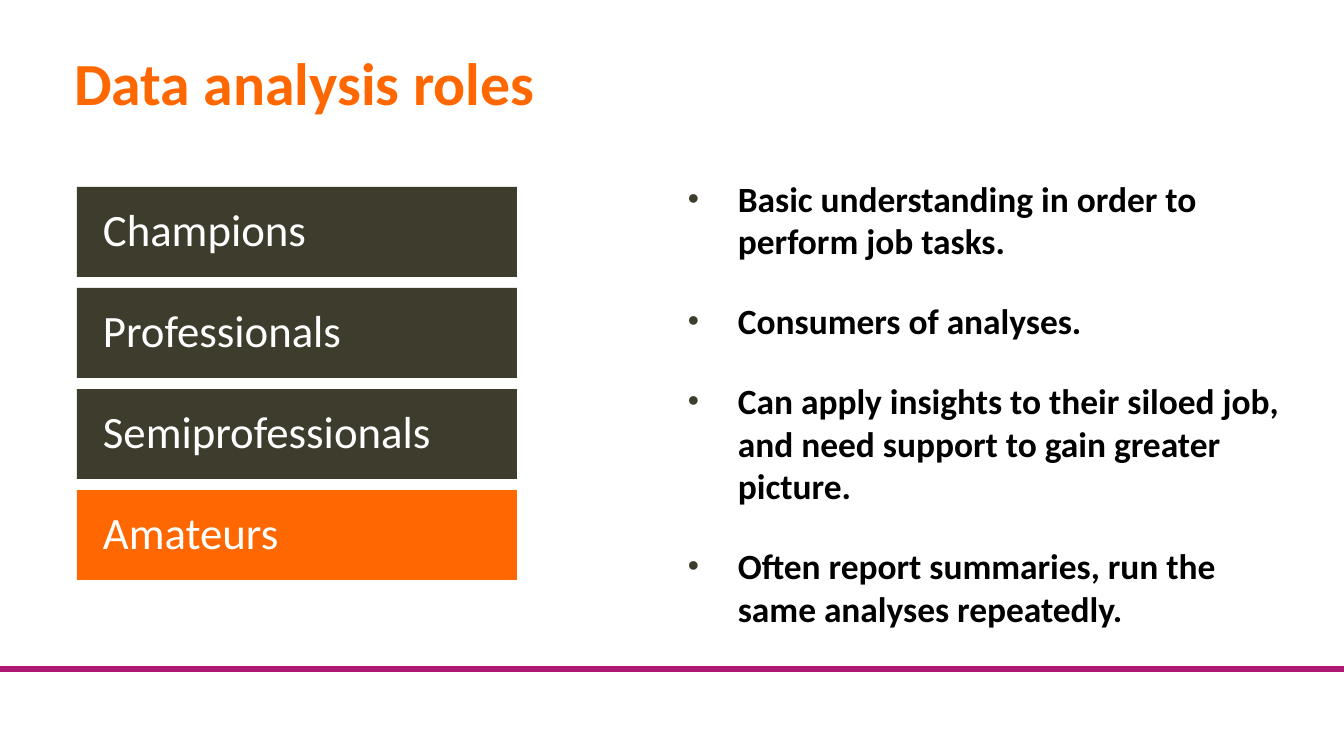
"""Builds the slide on data analysis roles."""
from dataclasses import dataclass

from lxml.etree import SubElement
from pptx import Presentation
from pptx.dml.color import RGBColor
from pptx.enum.shapes import MSO_CONNECTOR, MSO_SHAPE
from pptx.enum.text import MSO_ANCHOR, MSO_AUTO_SIZE, PP_ALIGN
from pptx.oxml.ns import qn
from pptx.util import Pt

PX = 6804
SLIDE_WIDTH, SLIDE_HEIGHT = 1344, 756
ROLES = ["Champions", "Professionals", "Semiprofessionals", "Amateurs"]
CURRENT_ROLE = "Amateurs"
TRAITS = [
    "Basic understanding in order to perform job tasks.",
    "Consumers of analyses.",
    "Can apply insights to their siloed job, and need support to gain greater picture.",
    "Often report summaries, run the same analyses repeatedly.",
]


@dataclass(frozen=True)
class Theme:
    font: str = "Calibri"
    accent: str = "FF6700"
    dark: str = "3E3D2D"
    rule: str = "AF1775"
    text: str = "000000"
    light: str = "FFFFFF"
    title_size: int = 32
    role_size: int = 24
    trait_size: int = 19


class SlideBuilder:
    def __init__(self, slide, theme):
        self.slide = slide
        self.theme = theme

    def add_run(self, paragraph, text, size, color, bold=False):
        run = paragraph.add_run()
        run.text = text
        run.font.name = self.theme.font
        run.font.size = Pt(size)
        run.font.bold = bold
        run.font.color.rgb = RGBColor.from_string(color)

    def set_frame(self, frame, anchor, margin=0):
        frame.word_wrap = True
        frame.auto_size = MSO_AUTO_SIZE.NONE
        frame.vertical_anchor = anchor
        frame.margin_left = frame.margin_right = margin * PX
        frame.margin_top = frame.margin_bottom = margin * PX

    def title(self, text, left, top, width, height):
        shape = self.slide.shapes.title
        shape.left, shape.top = left * PX, top * PX
        shape.width, shape.height = width * PX, height * PX
        self.set_frame(shape.text_frame, MSO_ANCHOR.TOP)
        paragraph = shape.text_frame.paragraphs[0]
        paragraph.alignment = PP_ALIGN.LEFT
        paragraph.line_spacing = 0.9
        self.add_run(paragraph, text, self.theme.title_size, self.theme.accent, True)

    def rule(self, top):
        connector = self.slide.shapes.add_connector(
            MSO_CONNECTOR.STRAIGHT, 0, top * PX, SLIDE_WIDTH * PX, top * PX)
        connector.line.color.rgb = RGBColor.from_string(self.theme.rule)
        connector.line.width = Pt(3)
        SubElement(connector._element.spPr, qn("a:effectLst"))

    def role(self, text, left, top, width, height, fill):
        shape = self.slide.shapes.add_shape(
            MSO_SHAPE.RECTANGLE, left * PX, top * PX, width * PX, height * PX)
        shape.shadow.inherit = False
        shape.fill.solid()
        shape.fill.fore_color.rgb = RGBColor.from_string(fill)
        shape.line.fill.background()
        self.set_frame(shape.text_frame, MSO_ANCHOR.MIDDLE, 26)
        paragraph = shape.text_frame.paragraphs[0]
        paragraph.alignment = PP_ALIGN.LEFT
        paragraph.line_spacing = 0.9
        self.add_run(paragraph, text, self.theme.role_size, self.theme.light)

    def add_bullet(self, paragraph, indent):
        properties = paragraph._p.get_or_add_pPr()
        properties.set("marL", str(indent * PX))
        properties.set("indent", str(-indent * PX))
        color = SubElement(properties, qn("a:buClr"))
        SubElement(color, qn("a:srgbClr"), val=self.theme.dark)
        SubElement(properties, qn("a:buSzPct"), val="90000")
        SubElement(properties, qn("a:buFont"), typeface="Arial")
        SubElement(properties, qn("a:buChar"), char="•")

    def bullets(self, items, left, top, width, height):
        shape = self.slide.shapes.add_textbox(left * PX, top * PX, width * PX, height * PX)
        frame = shape.text_frame
        self.set_frame(frame, MSO_ANCHOR.TOP)
        for index, item in enumerate(items):
            paragraph = frame.add_paragraph() if index else frame.paragraphs[0]
            self.add_bullet(paragraph, 50)
            paragraph.space_before = Pt(12 if index else 0)
            paragraph.space_after = Pt(8)
            self.add_run(paragraph, item, self.theme.trait_size, self.theme.text, True)


def main():
    presentation = Presentation()
    presentation.slide_width = SLIDE_WIDTH * PX
    presentation.slide_height = SLIDE_HEIGHT * PX
    slide = presentation.slides.add_slide(presentation.slide_layouts[5])
    theme = Theme()
    builder = SlideBuilder(slide, theme)
    builder.rule(669)
    builder.title("Data analysis roles", 74, 54, 1211, 87)
    builder.bullets(TRAITS, 688, 177, 598, 490)
    role_height, role_gap = 90, 11
    for index, role in enumerate(ROLES):
        fill = theme.accent if role == CURRENT_ROLE else theme.dark
        top = 187 + index * (role_height + role_gap)
        builder.role(role, 77, top, 440, role_height, fill)
    presentation.save("out.pptx")


if __name__ == "__main__":
    main()
